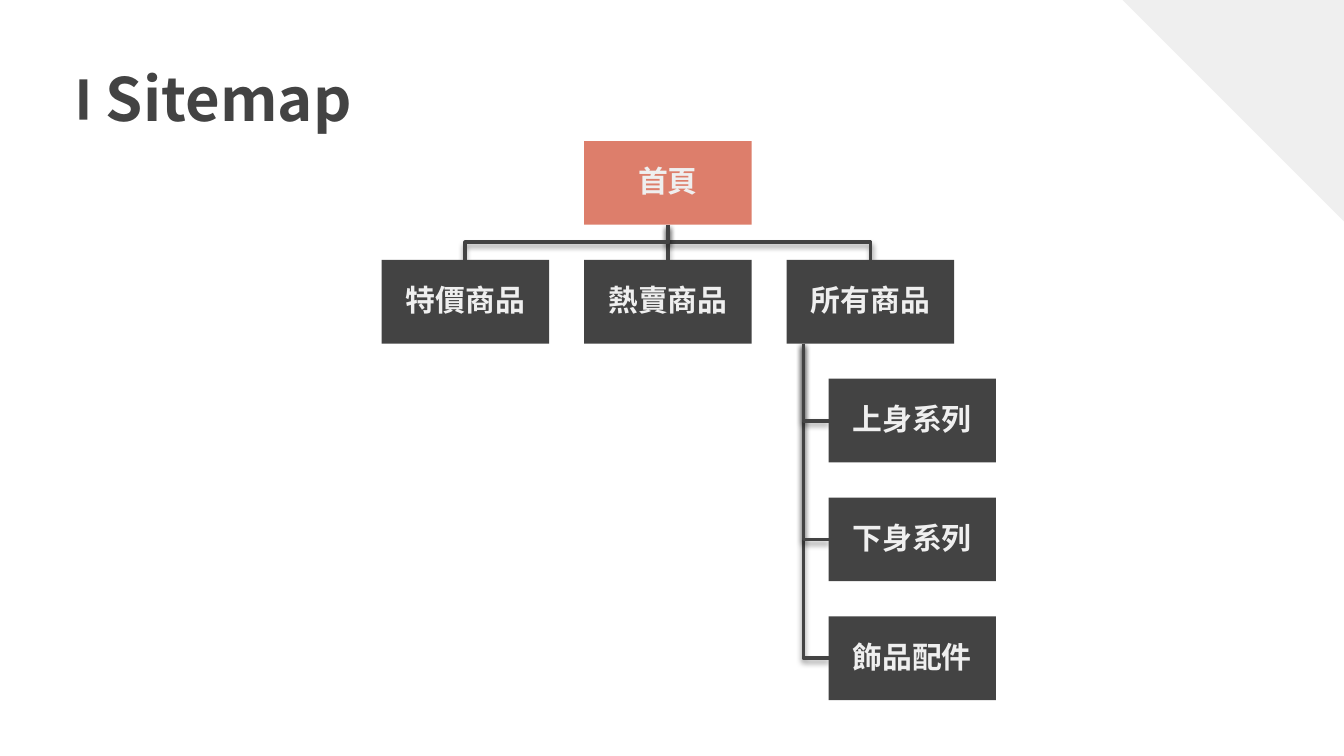
from lxml import etree
from pptx import Presentation
from pptx import util as u
from pptx.dml.color import RGBColor
from pptx.enum import shapes, text
from pptx.oxml import ns

COLORS = {"dark": "434343", "light": "EFEFEF", "accent": "DD7E6B", "shadow": "000000"}
FONT = "Noto Sans CJK TC"
HOME = "首頁"
SECTIONS = ["特價商品", "熱賣商品", "所有商品"]
SERIES = ["上身系列", "下身系列", "飾品配件"]
# Every chart measure is a share of the page box width.
HEIGHT_SHARE, GAP_SHARE = 0.5, 0.21
INDENT_SHARE, TRUNK_SHARE = 0.25, 0.1


def color(name):
    return RGBColor.from_string(COLORS[name])


def add_block(slide, left, top, width, height, fill):
    block = slide.shapes.add_shape(
        shapes.MSO_SHAPE.RECTANGLE, *map(u.Inches, (left, top, width, height)))
    block.shadow.inherit = False
    block.fill.solid()
    block.fill.fore_color.rgb = color(fill)
    block.line.fill.background()
    return block


def write(frame, words, size, ink, margin):
    frame.word_wrap = True
    frame.vertical_anchor = text.MSO_ANCHOR.MIDDLE
    frame.margin_left = frame.margin_right = u.Inches(margin)
    frame.margin_top = frame.margin_bottom = u.Inches(margin)
    paragraph = frame.paragraphs[0]
    run = paragraph.add_run()
    run.text = words
    run.font.size = u.Pt(size)
    run.font.bold = True
    run.font.name = FONT
    run.font.color.rgb = color(ink)
    east_asian = etree.SubElement(run.font._element, ns.qn("a:ea"))
    east_asian.set("typeface", FONT)
    return paragraph


def add_soft_shadow(line):
    effects = etree.SubElement(line._element.spPr, ns.qn("a:effectLst"))
    shadow = etree.SubElement(
        effects, ns.qn("a:outerShdw"), blurRad=str(u.Pt(3.1)), dist=str(u.Pt(1.6)),
        dir="5400000", algn="ctr", rotWithShape="0")
    tint = etree.SubElement(shadow, ns.qn("a:srgbClr"), val=COLORS["shadow"])
    etree.SubElement(tint, ns.qn("a:alpha"), val="38000")


def add_branch(slide, *points):
    """Join the points with one line; two points make a straight connector."""
    start, *rest = [(u.Inches(x), u.Inches(y)) for x, y in points]
    if len(rest) == 1:
        branch = slide.shapes.add_connector(
            shapes.MSO_CONNECTOR.STRAIGHT, *start, *rest[0])
    else:
        builder = slide.shapes.build_freeform(*start)
        builder.add_line_segments(rest, close=False)
        branch = builder.convert_to_shape()
        branch.fill.background()
    branch.line.color.rgb = color("dark")
    branch.line.width = u.Pt(2)
    add_soft_shadow(branch)


def add_page(slide, left, top, width, name, fill="dark"):
    page = add_block(slide, left, top, width, width * HEIGHT_SHARE, fill)
    paragraph = write(page.text_frame, name, 16, "light", 0.01)
    paragraph.alignment = text.PP_ALIGN.CENTER
    paragraph.line_spacing = 0.9


def add_sitemap(slide, left, top, height):
    rows = len(SERIES) + 2
    box_w = height / (rows * HEIGHT_SHARE + (rows - 1) * GAP_SHARE)
    box_h, gap = box_w * HEIGHT_SHARE, box_w * GAP_SHARE
    section_lefts = [left + i * (box_w + gap) for i in range(len(SECTIONS))]
    section_top, *series_tops = [top + i * (box_h + gap) for i in range(1, rows)]
    series_left = section_lefts[-1] + box_w * INDENT_SHARE
    home_left = section_lefts[1]
    home_x, home_bottom = home_left + box_w / 2, top + box_h
    trunk_x, trunk_top = section_lefts[-1] + box_w * TRUNK_SHARE, section_top + box_h
    middle = home_bottom + gap / 2

    for series_top in reversed(series_tops):
        y = series_top + box_h / 2
        add_branch(slide, (trunk_x, trunk_top), (trunk_x, y), (series_left, y))
    for section_left in reversed(section_lefts):
        x = section_left + box_w / 2
        elbow = [] if section_left == home_left else [(home_x, middle), (x, middle)]
        add_branch(slide, (home_x, home_bottom), *elbow, (x, section_top))

    add_page(slide, home_left, top, box_w, HOME, "accent")
    for name, section_left in zip(SECTIONS, section_lefts):
        add_page(slide, section_left, section_top, box_w, name)
    for name, series_top in zip(SERIES, series_tops):
        add_page(slide, series_left, series_top, box_w, name)


def add_corner(slide, left, top, side):
    add_block(slide, left, top, side, side, "light").rotation = 45


def add_heading(slide, left, top, words):
    add_block(slide, left, top + 0.11, 0.06, 0.3, "dark")
    heading = slide.shapes.add_textbox(
        *map(u.Inches, (left + 0.1, top, 5.06, 0.5)))
    write(heading.text_frame, words, 32, "dark", 0.1)


def main():
    deck = Presentation()
    deck.slide_width = u.Inches(10)
    deck.slide_height = deck.slide_width * 9 // 16
    slide = deck.slides.add_slide(deck.slide_layouts[6])
    add_corner(slide, 8.65, -1.93, 3.15)
    add_heading(slide, 0.59, 0.48, "Sitemap")
    add_sitemap(slide, 2.84, 1.05, 4.16)
    deck.save("out.pptx")


if __name__ == "__main__":
    main()
